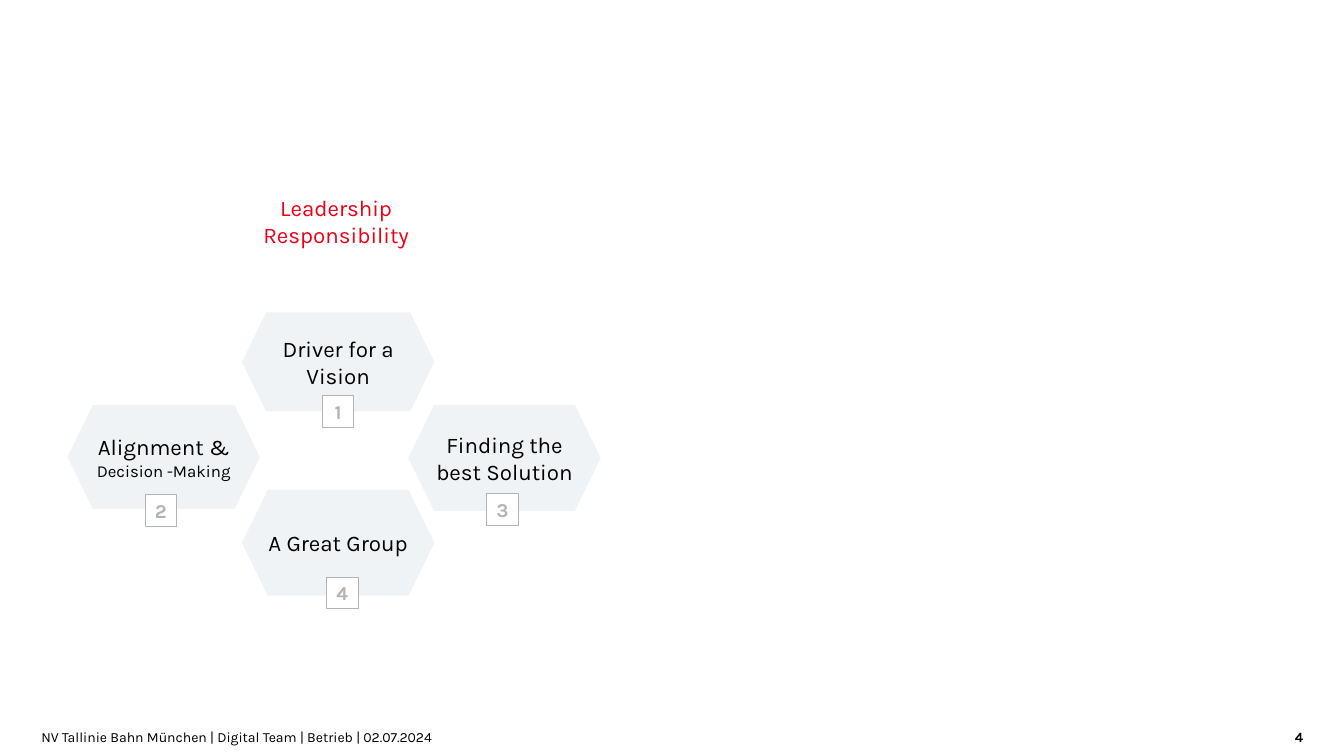
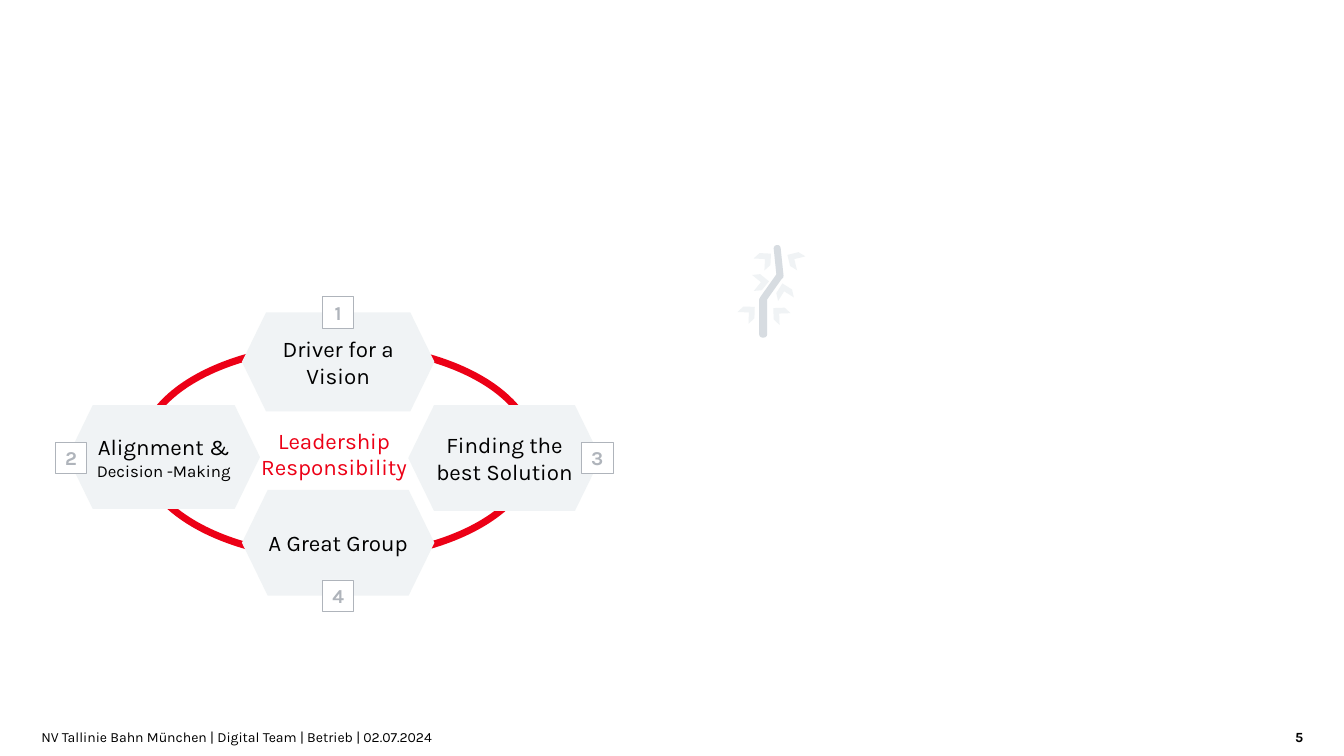
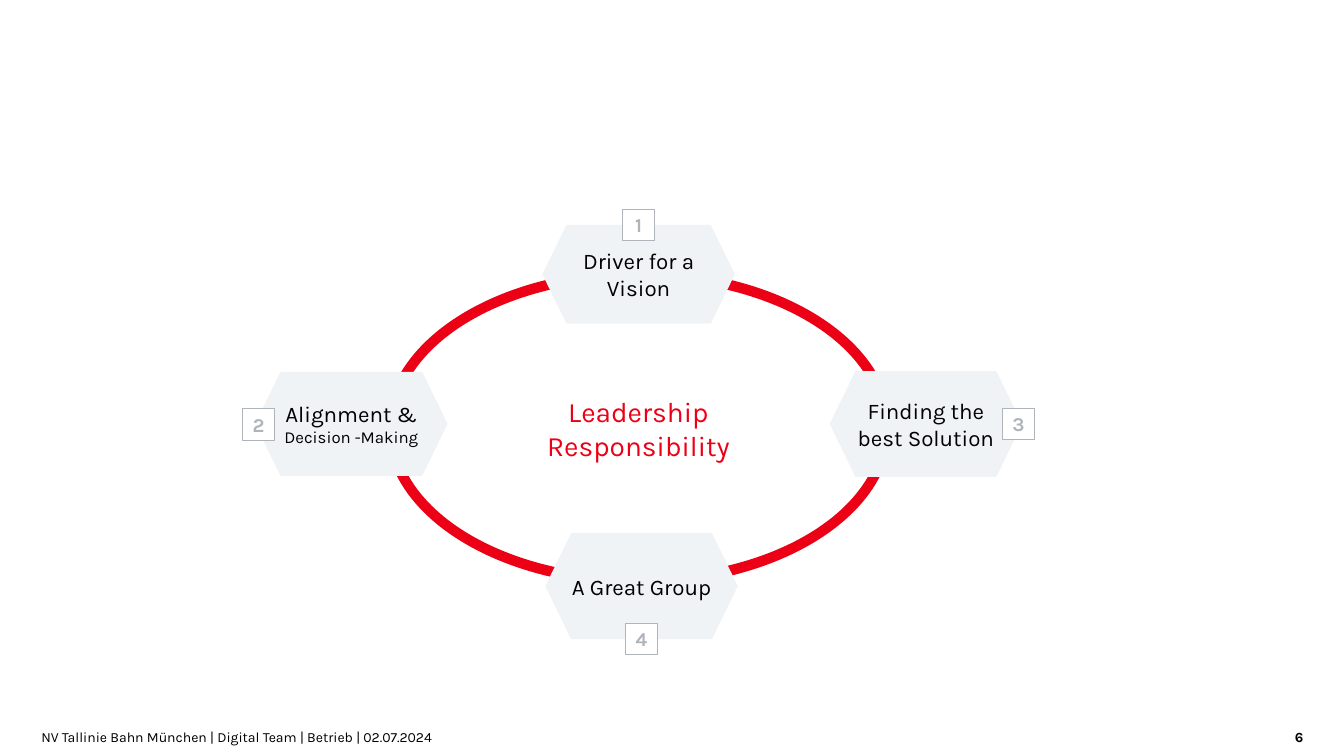
from dataclasses import dataclass

from pptx import Presentation
from pptx.dml import color
from pptx.enum import shapes, text
from pptx.util import Pt

SHAPE = shapes.MSO_SHAPE
ALIGN = text.PP_ALIGN
ANCHOR = text.MSO_ANCHOR


@dataclass(frozen=True)
class Theme:
    font: str = "Karla"
    ink: str = "000000"
    paper: str = "FFFFFF"
    accent: str = "EC0016"
    pale: str = "F0F3F5"
    branch: str = "D7DCE1"
    muted: str = "AFB4BB"
    label: int = 16
    small: int = 12
    badge: int = 14
    footer: int = 10
    hairline: float = 0.5


THEME = Theme()
FOOTER = "NV Tallinie Bahn München | Digital Team | Betrieb | 02.07.2024"
HEX_WIDTH = 137.5
HEX_SLANT = 0.244
BADGE = 22.5
BADGE_INSET = 2.5

FACTORS = [
    (70.6, [("Driver for a Vision", THEME.label)]),
    (74.2, [("Alignment & ", THEME.label), ("Decision -Making", THEME.small)]),
    (75.6, [("Finding the best Solution", THEME.label)]),
    (75.6, [("A Great Group", THEME.label)]),
]
COMPACT = [(172.8, 223.2), (48.2, 289.4), (291.6, 289.4), (172.8, 349.9)]
WIDE = [(387.4, 160.6), (182.2, 265.7), (592.6, 265), (389.5, 380.9)]

BELOW = [(0.5, 1, 0, 0), (0.5, 1, -2, 1), (0.5, 1, -1.5, -1), (0.5, 1, 3, -2)]
OUTWARD = [(0.5, 0, 0, 0), (0, 0.5, BADGE_INSET, 0.5),
           (1, 0.5, -BADGE_INSET, 0), (0.5, 1, 0, 0)]

STEMS = [(542.2, 211.7, 5.8, 29.5, 0), (548.6, 193, 5, 24.5, 35.3),
         (553.7, 175, 5, 24.5, 354.1)]
LEAF = 11.5
LEAVES = [(537.8, 195.8, 354.2), (529.2, 217.4, 316.7), (540.7, 179.3, 318),
          (554.4, 202.3, 257.1), (550.8, 218.2, 223), (561.6, 179.3, 211.1)]


def rgb(value):
    return color.RGBColor.from_string(value)


def add_figure(slide, kind, box, fill=None, line=None, adjust=None, turn=0):
    figure = slide.shapes.add_shape(kind, *map(Pt, box))
    figure.shadow.inherit = False
    figure.rotation = turn
    if adjust is not None:
        figure.adjustments[0] = adjust
    if fill:
        figure.fill.solid()
        figure.fill.fore_color.rgb = rgb(fill)
    else:
        figure.fill.background()
    if line:
        figure.line.color.rgb = rgb(line)
        figure.line.width = Pt(THEME.hairline)
    else:
        figure.line.fill.background()
    return figure


def write(holder, paragraphs, tint=THEME.ink, bold=False, align=ALIGN.CENTER,
          anchor=ANCHOR.MIDDLE, insets=(0, 0), wrap=True):
    frame = holder.text_frame
    frame.word_wrap = wrap
    frame.vertical_anchor = anchor
    frame.margin_left = frame.margin_right = Pt(insets[0])
    frame.margin_top = frame.margin_bottom = Pt(insets[1])
    for index, runs in enumerate(paragraphs):
        paragraph = frame.add_paragraph() if index else frame.paragraphs[0]
        paragraph.alignment = align
        for words, size in runs:
            run = paragraph.add_run()
            run.text = words
            run.font.name = THEME.font
            run.font.size = Pt(size)
            run.font.bold = bold
            run.font.color.rgb = rgb(tint)


def add_footer(slide, number):
    note = slide.shapes.add_textbox(*map(Pt, (29.5, 514.8, 835, 17.3)))
    write(note, [[(FOOTER, THEME.footer)]], align=ALIGN.LEFT, anchor=ANCHOR.BOTTOM)
    page = slide.shapes.add_textbox(*map(Pt, (889.9, 514.8, 41, 17.3)))
    write(page, [[(str(number), THEME.footer)]], bold=True,
          align=ALIGN.RIGHT, anchor=ANCHOR.BOTTOM)


def add_ring(slide, box):
    add_figure(slide, SHAPE.DONUT, box, THEME.accent, adjust=0.033)


def add_caption(slide, box, size):
    caption = add_figure(slide, SHAPE.HEXAGON, box, adjust=HEX_SLANT)
    write(caption, [[("Leadership", size)], [("Responsibility", size)]],
          tint=THEME.accent, insets=(7.2, 7.2), wrap=False)


def add_badge(slide, number, x, y):
    box = (x - BADGE / 2, y - BADGE / 2, BADGE, BADGE)
    badge = add_figure(slide, SHAPE.RECTANGLE, box, THEME.paper, THEME.muted)
    write(badge, [[(str(number), THEME.badge)]], tint=THEME.muted, bold=True, wrap=False)


def add_factors(slide, corners, anchors):
    placed = zip(FACTORS, corners, anchors)
    for number, ((height, runs), (left, top), (fx, fy, dx, dy)) in enumerate(placed, 1):
        factor = add_figure(slide, SHAPE.HEXAGON, (left, top, HEX_WIDTH, height),
                            THEME.pale, adjust=HEX_SLANT)
        write(factor, [runs], insets=(0, 7.2))
        add_badge(slide, number, left + fx * HEX_WIDTH + dx, top + fy * height + dy)


def add_twig(slide):
    for *box, turn in STEMS:
        add_figure(slide, SHAPE.ROUNDED_RECTANGLE, box, THEME.branch,
                   adjust=0.453, turn=turn)
    for left, top, turn in LEAVES:
        add_figure(slide, SHAPE.CHEVRON, (left, top, LEAF, LEAF), THEME.pale, turn=turn)


def add_page(deck, number, corners, anchors, caption, caption_size, ring=None):
    slide = deck.slides.add_slide(deck.slide_layouts[6])
    if ring:
        add_ring(slide, ring)
    add_caption(slide, caption, caption_size)
    add_factors(slide, corners, anchors)
    add_footer(slide, number)
    return slide


def main():
    deck = Presentation()
    deck.slide_width, deck.slide_height = Pt(960), Pt(540)
    add_page(deck, 4, COMPACT, BELOW, (171.4, 101.5, HEX_WIDTH, 113), 16)
    twig_page = add_page(deck, 5, COMPACT, OUTWARD, (169.9, 302.4, HEX_WIDTH, 43.2), 16,
                         ring=(98.6, 244.1, 285.1, 157))
    add_twig(twig_page)
    add_page(deck, 6, WIDE, OUTWARD, (385.9, 278.6, 140.4, 54.7), 20,
             ring=(275, 192.2, 362.2, 226.8))
    deck.save("out.pptx")


if __name__ == "__main__":
    main()
